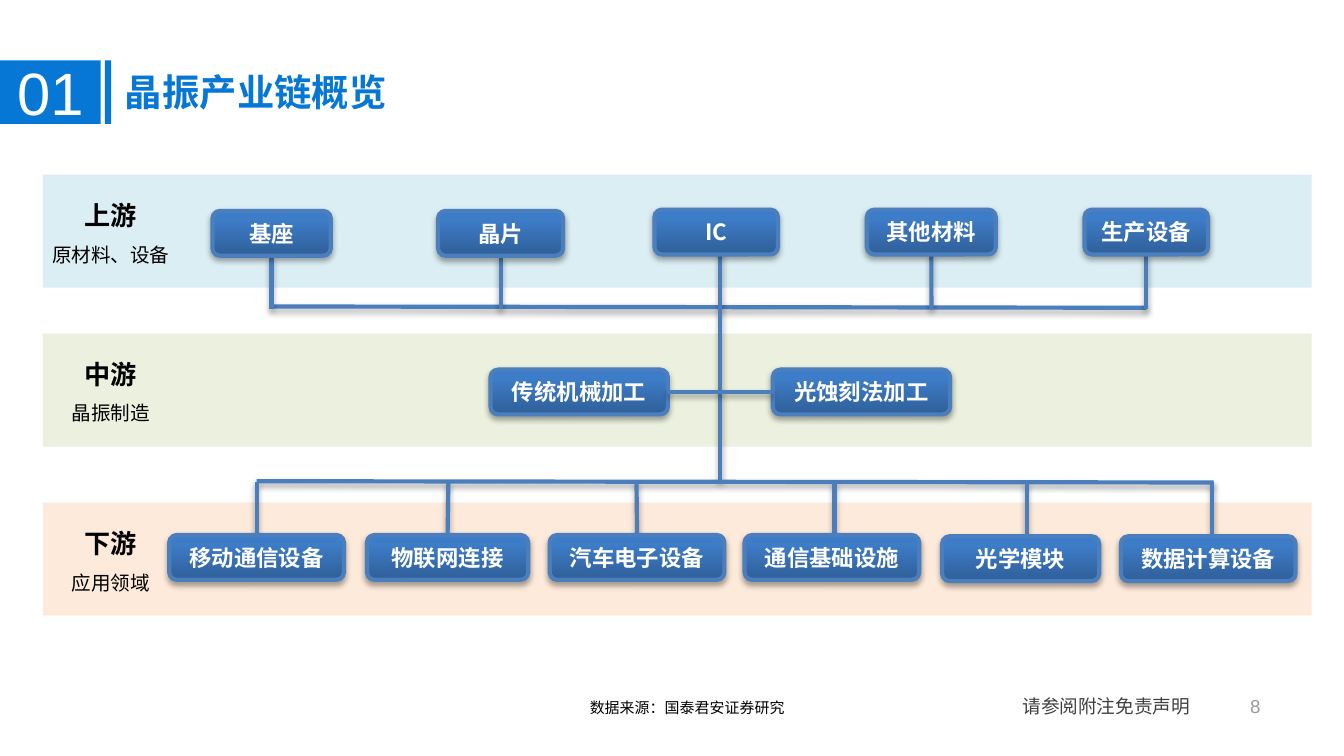
from pptx import Presentation
from pptx.dml.color import RGBColor
from pptx.enum.shapes import MSO_CONNECTOR, MSO_SHAPE
from pptx.enum.text import MSO_ANCHOR, PP_ALIGN
from pptx.oxml import parse_xml
from pptx.oxml.ns import nsdecls
from pptx.util import Pt

BLUE = RGBColor(0x06, 0x77, 0xD5)
LINE_BLUE = RGBColor(0x4B, 0x7E, 0xBC)
WHITE = RGBColor(0xFF, 0xFF, 0xFF)
BLACK = RGBColor(0, 0, 0)
DARK_GRAY = RGBColor(0x40, 0x40, 0x40)
GRAY = RGBColor(0x99, 0x99, 0x99)
PALE_BLUE = RGBColor(0xDB, 0xEE, 0xF4)
PALE_GREEN = RGBColor(0xEB, 0xF1, 0xDE)
PALE_ORANGE = RGBColor(0xFD, 0xEA, 0xDA)
CJK = "Noto Sans CJK SC"
BOX_HEIGHT = 24

GRADIENT = (
    f'<a:gradFill {nsdecls("a")} rotWithShape="1"><a:gsLst>'
    '<a:gs pos="0"><a:srgbClr val="2F5F99"/></a:gs>'
    '<a:gs pos="80000"><a:srgbClr val="3D7CC7"/></a:gs>'
    '<a:gs pos="100000"><a:srgbClr val="3A7CCB"/></a:gs>'
    '</a:gsLst><a:lin ang="16200000" scaled="0"/></a:gradFill>'
)
SHADOW = (
    f'<a:effectLst {nsdecls("a")}><a:outerShdw blurRad="40000" dist="23000" '
    'dir="5400000" rotWithShape="0"><a:srgbClr val="000000">'
    '<a:alpha val="35000"/></a:srgbClr></a:outerShdw></a:effectLst>'
)


def write(paragraph, text, color, alignment=PP_ALIGN.LEFT, **format_values):
    paragraph.alignment = alignment
    run = paragraph.add_run()
    run.text = text
    run.font.color.rgb = color
    for name, value in {"name": CJK, "bold": False, **format_values}.items():
        setattr(run.font, name, value)
    run.font._element.append(parse_xml(f'<a:ea {nsdecls("a")} typeface="{run.font.name}"/>'))


def add_line(x1, y1, x2, y2):
    line = slide.shapes.add_connector(MSO_CONNECTOR.STRAIGHT, Pt(x1), Pt(y1), Pt(x2), Pt(y2))
    line.line.color.rgb = LINE_BLUE
    line.line.width = Pt(2.25)
    line.element.spPr.append(parse_xml(SHADOW))
    return line


presentation = Presentation()
presentation.slide_width, presentation.slide_height = Pt(720), Pt(405)
slide = presentation.slides.add_slide(presentation.slide_layouts[6])

for left, top, width, height, color in [
    (23, 269.3, 679.7, 60.5, PALE_ORANGE),
    (23, 178.8, 679.7, 60.5, PALE_GREEN),
    (23, 93.6, 679.7, 60.5, PALE_BLUE),
    (0, 32.4, 54, 34, BLUE),
    (56.2, 32.4, 3.4, 34, BLUE),
]:
    rectangle = slide.shapes.add_shape(MSO_SHAPE.RECTANGLE, Pt(left), Pt(top), Pt(width), Pt(height))
    rectangle.shadow.inherit = False
    rectangle.fill.solid()
    rectangle.fill.fore_color.rgb = color
    rectangle.line.fill.background()

for left, top, width, height, text, color, alignment, format_values in [
    (59.8, 33.8, 436, 31.7, "晶振产业链概览", BLUE, PP_ALIGN.LEFT, {"size": Pt(20), "bold": True}),
    (0, 26.6, 54, 46, "01", WHITE, PP_ALIGN.CENTER, {"size": Pt(32), "name": "Arial"}),
    (308.9, 370.8, 232.6, 17.3, "数据来源：国泰君安证券研究", BLACK, PP_ALIGN.LEFT, {"size": Pt(8)}),
    (540.7, 368.6, 119.5, 19.4, "请参阅附注免责声明", DARK_GRAY, PP_ALIGN.LEFT, {"size": Pt(10)}),
]:
    text_box = slide.shapes.add_textbox(Pt(left), Pt(top), Pt(width), Pt(height))
    text_box.text_frame.word_wrap = True
    write(text_box.text_frame.paragraphs[0], text, color, alignment, **format_values)

page_number = slide.shapes.add_textbox(Pt(663.1), Pt(372.2), Pt(12.2), Pt(12.2))
for margin in ("margin_left", "margin_top", "margin_right", "margin_bottom"):
    setattr(page_number.text_frame, margin, 0)
write(page_number.text_frame.paragraphs[0], "8", GRAY, PP_ALIGN.RIGHT, size=Pt(10), name="Arial")

for left, top, width, stage, detail in [
    (8.6, 95, 101.5, "上游", "原材料、设备"),
    (20.9, 180, 77, "中游", "晶振制造"),
    (20.9, 270.7, 77, "下游", "应用领域"),
]:
    label = slide.shapes.add_textbox(Pt(left), Pt(top), Pt(width), Pt(51.8))
    label.text_frame.word_wrap = True
    stage_paragraph = label.text_frame.paragraphs[0]
    detail_paragraph = label.text_frame.add_paragraph()
    write(stage_paragraph, stage, BLACK, PP_ALIGN.CENTER, size=Pt(14), bold=True)
    write(detail_paragraph, detail, BLACK, PP_ALIGN.CENTER, size=Pt(10.5))
    for paragraph in label.text_frame.paragraphs:
        paragraph.line_spacing = 1.5

add_line(614.2, 164.9, 145.4, 164.2)
add_line(385.9, 124, 385.9, 257.8)
add_line(650.2, 258.5, 137.5, 257.8)

UPSTREAM_BUS, DOWNSTREAM_BUS = 165.5, 258.3
boxes = {}
for text, left, top, width, branch_x, bus_y in [
    ("基座", 113.8, 113, 63.4, 145.5, UPSTREAM_BUS),
    ("晶片", 234.7, 113, 67, 268.2, UPSTREAM_BUS),
    ("IC", 350.6, 112.3, 66.2, None, None),
    ("其他材料", 464.4, 112.3, 69.1, 499, UPSTREAM_BUS),
    ("生产设备", 581, 112.3, 66.2, 614.1, UPSTREAM_BUS),
    ("传统机械加工", 262.8, 198, 95, None, None),
    ("光蚀刻法加工", 414, 198, 95, None, None),
    ("移动通信设备", 90.7, 286.6, 93.6, 137.5, DOWNSTREAM_BUS),
    ("物联网连接", 196.6, 286.6, 86.4, 240.2, DOWNSTREAM_BUS),
    ("汽车电子设备", 294.5, 286.6, 93.6, 341, DOWNSTREAM_BUS),
    ("通信基础设施", 398.9, 286.6, 93.6, 447.1, DOWNSTREAM_BUS),
    ("光学模块", 504.7, 287.3, 84.2, 550.1, DOWNSTREAM_BUS),
    ("数据计算设备", 600.5, 287.3, 93.6, 649.4, DOWNSTREAM_BUS),
]:
    box = slide.shapes.add_shape(MSO_SHAPE.ROUNDED_RECTANGLE, Pt(left), Pt(top), Pt(width), Pt(BOX_HEIGHT))
    box.line.color.rgb = LINE_BLUE
    box.line.width = Pt(2.25)
    box.element.spPr.insert(2, parse_xml(GRADIENT))
    box.element.spPr.append(parse_xml(SHADOW))
    box.text_frame.vertical_anchor = MSO_ANCHOR.MIDDLE
    write(box.text_frame.paragraphs[0], text, WHITE, PP_ALIGN.CENTER, size=Pt(12), bold=True)
    boxes[text] = box

    if branch_x:
        is_upstream = bus_y == UPSTREAM_BUS
        edge_y = top + BOX_HEIGHT if is_upstream else top
        branch = add_line(branch_x, edge_y, branch_x, bus_y)
        if abs(branch_x - left - width / 2) < 1:
            branch.begin_connect(box, 2 if is_upstream else 0)
        box.element.addprevious(branch.element)

process_link = add_line(414, 210, 357.8, 210)
process_link.begin_connect(boxes["光蚀刻法加工"], 1)
process_link.end_connect(boxes["传统机械加工"], 3)

presentation.save("out.pptx")
